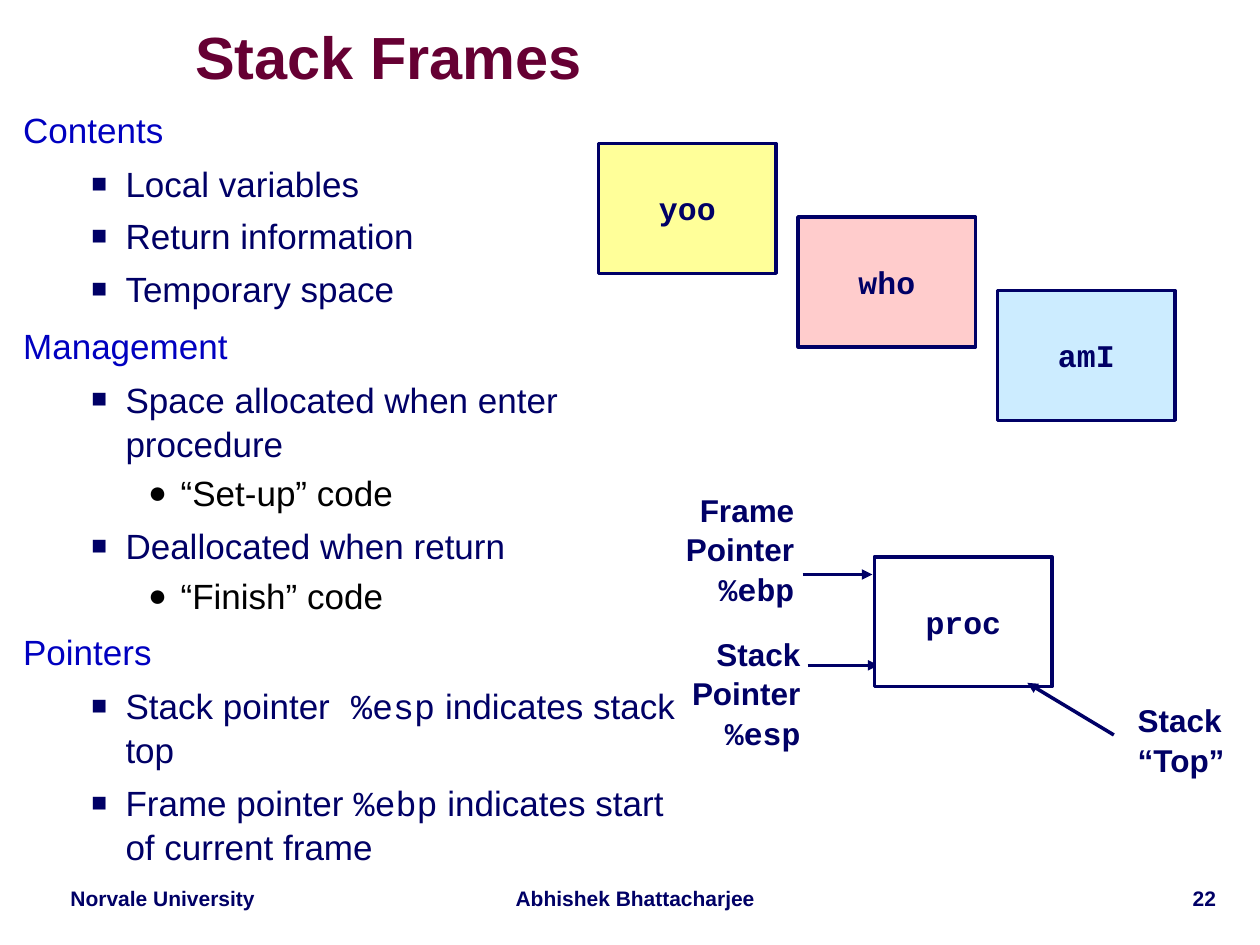
"""Builds the Stack Frames lecture slide."""
import pptx
import pptx.dml.color
import pptx.enum.shapes
import pptx.enum.text
import pptx.oxml
import pptx.oxml.ns
import pptx.util

Pt = pptx.util.Pt
RGBColor = pptx.dml.color.RGBColor
Align = pptx.enum.text.PP_ALIGN
Anchor = pptx.enum.text.MSO_ANCHOR

NAVY = RGBColor(0x00, 0x00, 0x66)
BLUE = RGBColor(0x00, 0x00, 0xC0)
MAROON = RGBColor(0x66, 0x00, 0x33)
BLACK = RGBColor(0x00, 0x00, 0x00)
WHITE = RGBColor(0xFF, 0xFF, 0xFF)
YELLOW = RGBColor(0xFF, 0xFF, 0x99)
PINK = RGBColor(0xFF, 0xCC, 0xCC)
SKY = RGBColor(0xCC, 0xEC, 0xFF)

LEVELS = [
    (BLUE, 0.95, 10, 0, 0, None, 0),
    (NAVY, 1.05, 5, 58.5, -19.5, "\u25a0", 75),
    (BLACK, 1.1, 2, 90, -18.5, "\u25cf", 90),
]

OUTLINE = [
    (0, "Contents"),
    (1, "Local variables"),
    (1, "Return information"),
    (1, "Temporary space"),
    (0, "Management"),
    (1, "Space allocated when enter procedure"),
    (2, "“Set-up” code"),
    (1, "Deallocated when return"),
    (2, "“Finish” code"),
    (0, "Pointers"),
    (1, "Stack pointer` %esp` indicates stack top"),
    (1, "Frame pointer `%ebp` indicates start of current frame"),
]


class FramePage:
    """Holds the fonts, the line style and the current slide."""

    sans, mono = "Arial", "Courier New"
    line_color, line_width = NAVY, Pt(2)

    def __init__(self, deck):
        self.page = deck.slides.add_slide(deck.slide_layouts[1])

    def place(self, box, left, top, width, height):
        box.left, box.top, box.width, box.height = map(Pt, (left, top, width, height))

    def add_text(self, para, text, size, color, bold=False):
        for index, part in enumerate(text.split("`")):
            if part:
                span = para.add_run()
                span.text = part
                span.font.name = self.mono if index % 2 else self.sans
                span.font.size = Pt(size)
                span.font.bold = bold
                span.font.color.rgb = color

    def title(self, text, *area):
        box = self.page.shapes.title
        self.place(box, *area)
        frame = box.text_frame
        frame.auto_size = pptx.enum.text.MSO_AUTO_SIZE.NONE
        frame.margin_left = frame.margin_right = frame.margin_top = frame.margin_bottom = 0
        frame.vertical_anchor = Anchor.MIDDLE
        para = frame.paragraphs[0]
        para.alignment, para.line_spacing = Align.CENTER, 0.87
        self.add_text(para, text, 34, MAROON, True)

    def outline(self, items, *area):
        box = self.page.placeholders[1]
        self.place(box, *area)
        frame = box.text_frame
        frame.auto_size = pptx.enum.text.MSO_AUTO_SIZE.NONE
        for index, (level, text) in enumerate(items):
            para = frame.add_paragraph() if index else frame.paragraphs[0]
            color, spacing, before, margin, indent, bullet, percent = LEVELS[level]
            para.level, para.line_spacing = level, spacing
            para.space_before = Pt(before if index else 0)
            self.bullet(para, margin, indent, bullet, percent)
            self.add_text(para, text, 20, color)

    def bullet(self, para, margin, indent, bullet, percent):
        props = para._p.get_or_add_pPr()
        props.set("marL", str(Pt(margin)))
        props.set("indent", str(Pt(indent)))
        marks = [("a:buNone", {})]
        if bullet:
            marks = [
                ("a:buSzPct", {"val": str(percent * 1000)}),
                ("a:buFont", {"typeface": self.sans}),
                ("a:buChar", {"char": bullet}),
            ]
        for tag, values in marks:
            mark = pptx.oxml.parse_xml(f"<{tag} {pptx.oxml.ns.nsdecls('a')}/>")
            for key, value in values.items():
                mark.set(key, value)
            props.append(mark)

    def label(self, lines, area, align, size=18, spacing=1.05, wrap=False):
        frame = self.page.shapes.add_textbox(*map(Pt, area)).text_frame
        frame.word_wrap = wrap
        for index, text in enumerate(lines):
            para = frame.add_paragraph() if index else frame.paragraphs[0]
            para.alignment, para.line_spacing = align, spacing
            self.add_text(para, text, size, NAVY, True)

    def frame_box(self, name, left, top, fill):
        box = self.page.shapes.add_shape(
            pptx.enum.shapes.MSO_SHAPE.RECTANGLE, Pt(left), Pt(top), Pt(101.5), Pt(74.2))
        box.shadow.inherit = False
        box.fill.solid()
        box.fill.fore_color.rgb = fill
        box.line.color.rgb, box.line.width = self.line_color, self.line_width
        box.text_frame.vertical_anchor = Anchor.MIDDLE
        para = box.text_frame.paragraphs[0]
        para.alignment = Align.CENTER
        self.add_text(para, f"`{name}`", 18, NAVY, True)

    def arrow(self, *ends):
        arrow = self.page.shapes.add_connector(
            pptx.enum.shapes.MSO_CONNECTOR.STRAIGHT, *map(Pt, ends))
        arrow.line.color.rgb, arrow.line.width = self.line_color, self.line_width
        space = pptx.oxml.ns.nsdecls("a")
        props = arrow._element.spPr
        props.get_or_add_ln().append(
            pptx.oxml.parse_xml(f'<a:tailEnd {space} type="triangle"/>'))
        props.append(pptx.oxml.parse_xml(f"<a:effectLst {space}/>"))


deck = pptx.Presentation()
deck.slide_width, deck.slide_height = Pt(720), Pt(540)
slide = FramePage(deck)

slide.title("Stack Frames", 24, 12, 396, 45)
slide.outline(OUTLINE, 6, 60, 397.5, 411)

for text, left, width, align in [
    ("Norvale University", 24, 138, Align.CENTER),
    ("Abhishek Bhattacharjee", 282, 162, Align.CENTER),
    ("22", 588, 114, Align.RIGHT),
]:
    slide.label([text], (left, 504, width, 20), align, 12, 0.9, True)

for name, register, left, top, arrow in [
    ("Stack", "%esp", 388, 358, (461.5, 380.2, 502, 380.2)),
    ("Frame", "%ebp", 384.5, 275.8, (458.6, 328.3, 498.5, 328.3)),
]:
    slide.arrow(*arrow)
    slide.label([name, "Pointer", f"`{register}`"], (left, top, 76.5, 72), Align.RIGHT)

for step, (name, fill) in enumerate([("yoo", YELLOW), ("who", PINK), ("amI", SKY)]):
    slide.frame_box(name, 342 + 114 * step, 82 + 42 * step, fill)
slide.frame_box("proc", 499.7, 318.2, WHITE)

slide.arrow(636.5, 420, 587, 390.2)
slide.label(["Stack", "“Top”"], (643, 396, 65.5, 50.5), Align.LEFT)

deck.save("out.pptx")
